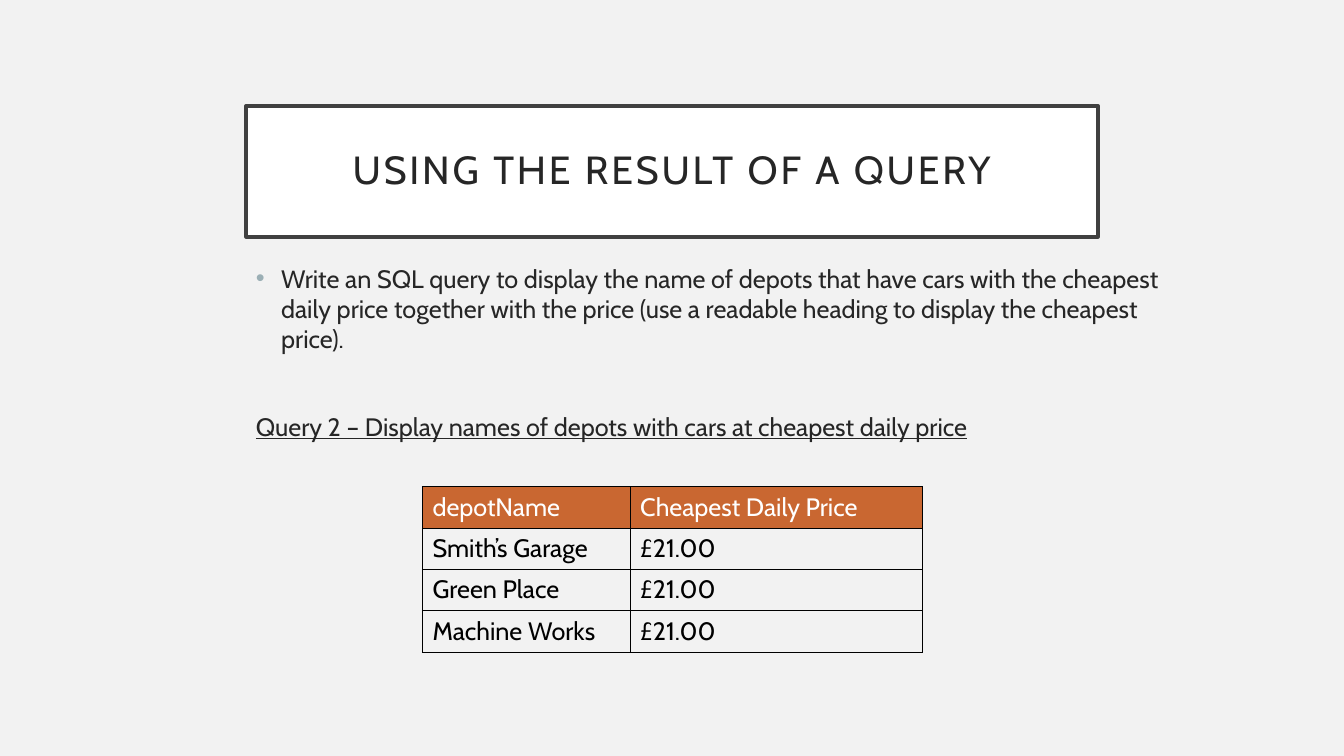
import pptx
import pptx.dml.color
import pptx.enum.shapes
import pptx.enum.text
import pptx.oxml.ns
import pptx.util
from lxml import etree

Inches = pptx.util.Inches
Pt = pptx.util.Pt


def color(hex_value):
    return pptx.dml.color.RGBColor.from_string(hex_value)


def add_xml(parent, tag, **attributes):
    return etree.SubElement(parent, pptx.oxml.ns.qn(tag), **attributes)


class QuerySlide:
    font = "Cabin"
    ink = "262626"
    border = "000000"
    header_fill = "C96731"

    def __init__(self, presentation):
        self.slide = presentation.slides.add_slide(presentation.slide_layouts[6])
        background = self.slide.background.fill
        background.solid()
        background.fore_color.rgb = color("F2F2F2")

    def run(self, paragraph, text, size=18, ink=None, underline=None):
        run = paragraph.add_run()
        run.text = text
        run.font.name = self.font
        run.font.size = Pt(size)
        run.font.color.rgb = color(ink or self.ink)
        run.font.underline = underline
        return run

    def title(self, text, left, top, width, height):
        banner = self.slide.shapes.add_shape(
            pptx.enum.shapes.MSO_SHAPE.RECTANGLE,
            Inches(left), Inches(top), Inches(width), Inches(height))
        banner.shadow.inherit = False
        banner.fill.solid()
        banner.fill.fore_color.rgb = color("FFFFFF")
        banner.line.color.rgb = color("404040")
        banner.line.width = Pt(2.5)
        frame = banner.text_frame
        frame.word_wrap = True
        frame.vertical_anchor = pptx.enum.text.MSO_ANCHOR.MIDDLE
        frame.margin_left = frame.margin_right = Inches(0.2)
        frame.margin_top = frame.margin_bottom = Inches(0.2)
        heading = frame.paragraphs[0]
        heading.alignment = pptx.enum.text.PP_ALIGN.CENTER
        heading.line_spacing = 0.9
        run = self.run(heading, text, size=28)
        run.font._element.set("spc", "200")

    def body(self, task, caption, left, top, width, height):
        frame = self.slide.shapes.add_textbox(
            Inches(left), Inches(top), Inches(width), Inches(height)).text_frame
        frame.word_wrap = True
        task_paragraph = frame.paragraphs[0]
        properties = task_paragraph._p.get_or_add_pPr()
        properties.set("marL", str(Inches(0.25)))
        properties.set("indent", str(Inches(-0.25)))
        bullet_color = add_xml(properties, "a:buClr")
        add_xml(bullet_color, "a:srgbClr", val="9BAFB5")
        add_xml(properties, "a:buFont", typeface="Arial")
        add_xml(properties, "a:buChar", char="•")
        self.run(task_paragraph, task)
        caption_paragraph = frame.add_paragraph()
        caption_paragraph.space_before = Pt(41)
        self.run(caption_paragraph, caption, underline=True)

    def cell(self, cell, text, is_header):
        properties = cell._tc.get_or_add_tcPr()
        for side in ("a:lnL", "a:lnR", "a:lnT", "a:lnB"):
            line = add_xml(properties, side, w=str(Pt(1)))
            add_xml(add_xml(line, "a:solidFill"), "a:srgbClr", val=self.border)
        if is_header:
            cell.fill.solid()
            cell.fill.fore_color.rgb = color(self.header_fill)
        else:
            cell.fill.background()
        self.run(cell.text_frame.paragraphs[0], text,
                 ink="FFFFFF" if is_header else "000000")

    def table(self, rows, left, top, column_widths, row_height):
        table = self.slide.shapes.add_table(
            len(rows), len(column_widths), Inches(left), Inches(top),
            Inches(sum(column_widths)), Inches(row_height * len(rows))).table
        table.first_row = False
        table.horz_banding = False
        for column, width in zip(table.columns, column_widths):
            column.width = Inches(width)
        for row_index, row in enumerate(rows):
            table.rows[row_index].height = Inches(row_height)
            for column_index, text in enumerate(row):
                self.cell(table.cell(row_index, column_index), text, row_index == 0)


def main():
    presentation = pptx.Presentation()
    presentation.slide_width = Inches(13.33)
    presentation.slide_height = Inches(7.5)
    slide = QuerySlide(presentation)
    slide.title("USING THE RESULT OF A QUERY", 2.44, 1.05, 8.45, 1.3)
    slide.body(
        "Write an SQL query to display the name of depots that have cars with the "
        "cheapest daily price together with the price (use a readable heading to "
        "display the cheapest price).",
        "Query 2 – Display names of depots with cars at cheapest daily price",
        2.44, 2.56, 9.59, 2.11)
    cheapest_price = "£21.00"
    depots = ["Smith’s Garage", "Green Place", "Machine Works"]
    rows = [("depotName", "Cheapest Daily Price")]
    rows += [(depot, cheapest_price) for depot in depots]
    slide.table(rows, 4.19, 4.83, [2.06, 2.9], 0.41)
    presentation.save("out.pptx")


if __name__ == "__main__":
    main()
